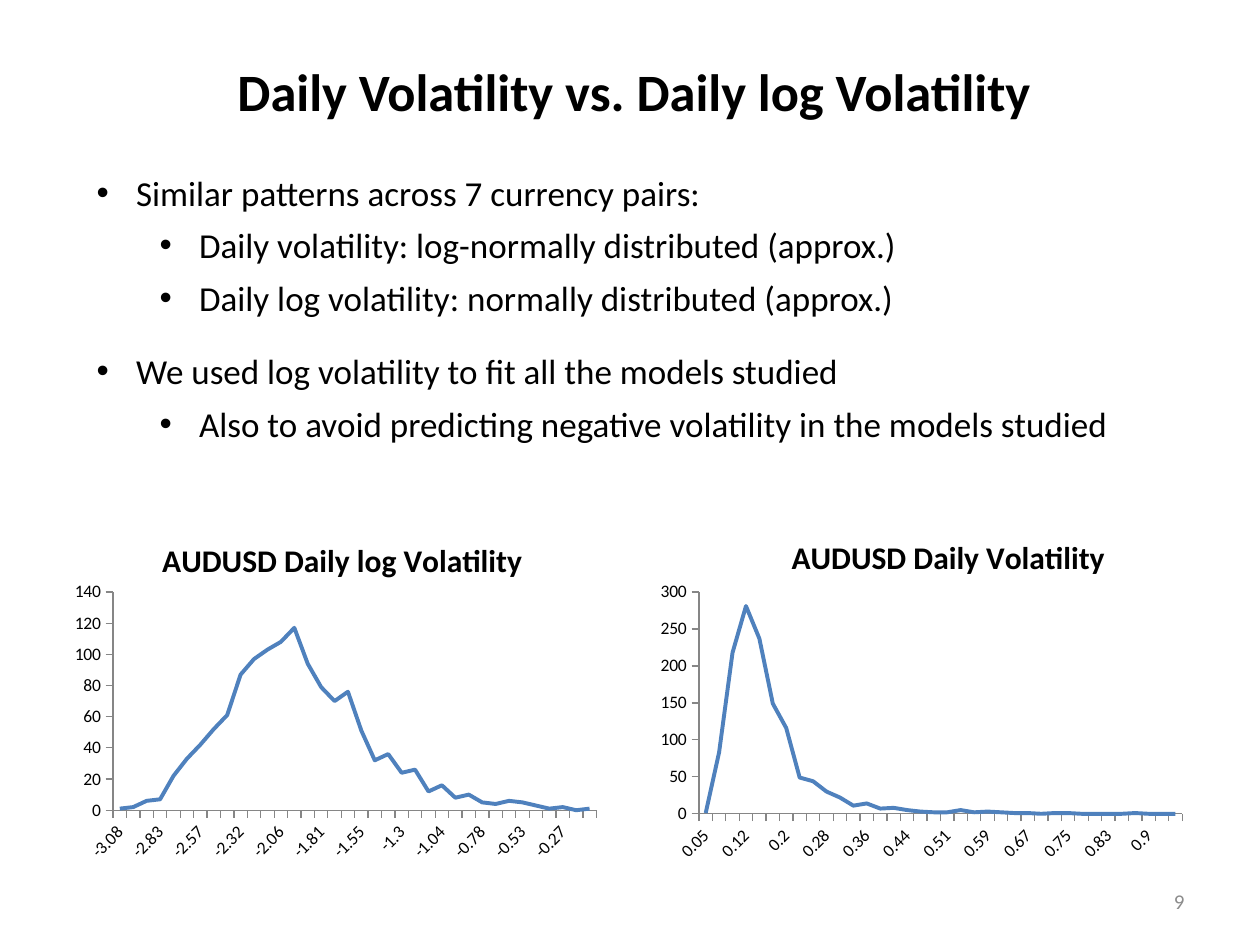
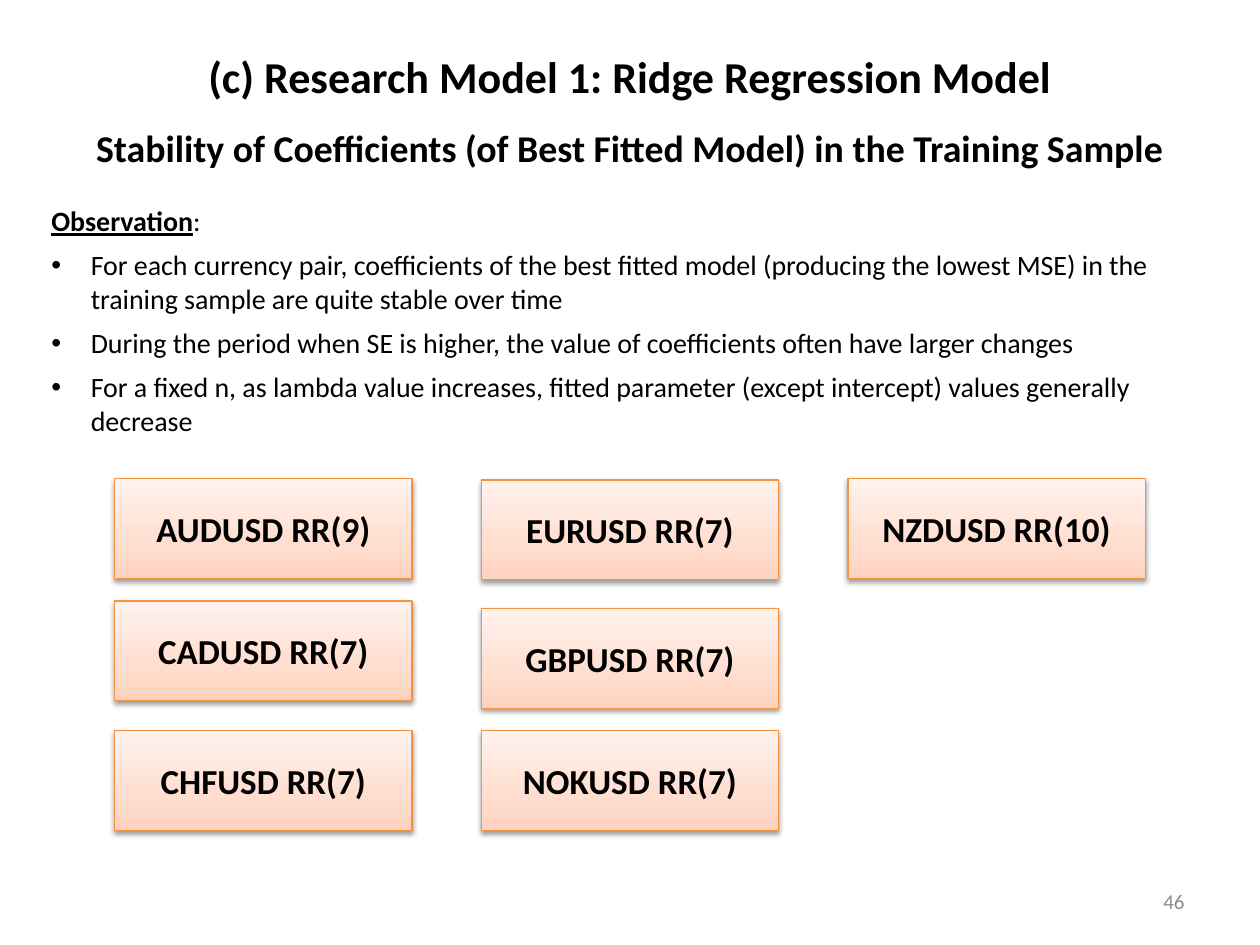
from lxml.etree import SubElement
from pptx import Presentation
from pptx.chart.data import CategoryChartData
from pptx.dml.color import RGBColor
from pptx.enum.chart import XL_CHART_TYPE, XL_TICK_MARK
from pptx.enum.shapes import MSO_SHAPE
from pptx.enum.text import MSO_ANCHOR, PP_ALIGN
from pptx.oxml import parse_xml
from pptx.oxml.ns import nsdecls, qn
from pptx.util import Pt

FONT = "Calibri"
BLACK = RGBColor(0, 0, 0)
GREY = RGBColor(0x8C, 0x8C, 0x8C)
AXIS = RGBColor(0x86, 0x86, 0x86)
BLUE = RGBColor(0x4F, 0x81, 0xBD)
ORANGE = RGBColor(0xF6, 0x92, 0x40)
PEACH = [(0, RGBColor(0xFF, 0xD2, 0xBD)), (35, RGBColor(0xFF, 0xDE, 0xD0)),
         (100, RGBColor(0xFF, 0xF2, 0xED))]

# Title lines: text, size
VOL_TITLE = [("Daily Volatility vs. Daily log Volatility", 30)]
RIDGE_TITLE = [
    ("(c) Research Model 1: Ridge Regression Model", 25.2),
    ("Stability of Coefficients (of Best Fitted Model) in the Training Sample", 21.6),
]

# Points: level, space before, text
VOL_POINTS = [
    (0, 0, "Similar patterns across 7 currency pairs:"),
    (1, 6, "Daily volatility: log-normally distributed (approx.)"),
    (1, 6, "Daily log volatility: normally distributed (approx.)"),
    (0, 18, "We used log volatility to fit all the models studied"),
    (1, 6, "Also to avoid predicting negative volatility in the models studied"),
]
RIDGE_POINTS = [
    "For each currency pair, coefficients of the best fitted model (producing the "
    "lowest MSE) in the training sample are quite stable over time",
    "During the period when SE is higher, the value of coefficients often have "
    "larger changes",
    "For a fixed n, as lambda value increases, fitted parameter (except intercept) "
    "values generally decrease",
]

# Bins are evenly spaced from start; places are fractions of the chart
CHARTS = [
    dict(title="AUDUSD Daily log Volatility", left=36.7, start=-3.08463, step=0.085205,
         top=140, unit=20, head=(0.17, 0.06), plot=(0.09, 0.225, 0.89, 0.61),
         counts=[1, 2, 6, 7, 22, 33, 42, 52, 61, 87, 97, 103, 108, 117, 94, 79, 70, 76,
                 51, 32, 36, 24, 26, 12, 16, 8, 10, 5, 4, 6, 5, 3, 1, 2, 0, 1]),
    dict(title="AUDUSD Daily Volatility", left=371.5, start=0.045747, step=0.026032,
         top=300, unit=50, head=(0.25, 0.05), plot=(0.09, 0.225, 0.89, 0.62),
         counts=[1, 83, 218, 281, 237, 149, 116, 49, 44, 30, 22, 11, 14, 7, 8, 5, 3, 2,
                 2, 5, 2, 3, 2, 1, 1, 0, 1, 1, 0, 0, 0, 0, 1, 0, 0, 0]),
]

# Columns of boxes: label, top
PAIRS = [
    [("AUDUSD RR(9)", 273.6), ("CADUSD RR(7)", 343.4), ("CHFUSD RR(7)", 417.6)],
    [("EURUSD RR(7)", 274.3), ("GBPUSD RR(7)", 347.8), ("NOKUSD RR(7)", 417.6)],
    [("NZDUSD RR(10)", 273.6)],
]
PAIR_LEFT, PAIR_STEP, PAIR_W, PAIR_H = 65.5, 209.5, 170, 56.9


def style(font, size, color=BLACK, bold=False):
    font.name, font.size, font.bold = FONT, Pt(size), bold
    font.color.rgb = color


def add_box(slide, left, top, width, height, anchor=MSO_ANCHOR.TOP):
    frame = slide.shapes.add_textbox(Pt(left), Pt(top), Pt(width), Pt(height)).text_frame
    frame.word_wrap = True
    frame.vertical_anchor = anchor
    return frame


def add_title(slide, lines, area, spacing):
    para = add_box(slide, *area, MSO_ANCHOR.MIDDLE).paragraphs[0]
    para.alignment = PP_ALIGN.CENTER
    para.line_spacing = spacing
    for i, (text, size) in enumerate(lines):
        if i:
            para.add_line_break()
        run = para.add_run()
        run.text = text
        style(run.font, size, bold=True)


def add_number(slide, number):
    para = add_box(slide, 516, 500.4, 168, 28.8, MSO_ANCHOR.MIDDLE).paragraphs[0]
    para.text = str(number)
    para.alignment = PP_ALIGN.RIGHT
    style(para.font, 12, GREY)


def add_bullet(para, text, size, level=0):
    para.text = text
    para.level = level
    props = para._p.get_or_add_pPr()
    props.set("marL", str(Pt(22.5 + 36 * level)))
    props.set("indent", str(Pt(-22.5)))
    SubElement(props, qn("a:buFont"), typeface="Arial")
    SubElement(props, qn("a:buChar"), char="•")
    style(para.font, size)


def place(part, index, **spots):
    """Give a chart part a manual layout, as child number index."""
    for old in part.findall(qn("c:layout")):
        part.remove(old)
    tags = "".join(f'<c:{key} val="{val}"/>' for key, val in spots.items())
    part.insert(index, parse_xml(
        f'<c:layout {nsdecls("c")}><c:manualLayout>{tags}</c:manualLayout></c:layout>'))


def add_plot(slide, item):
    data = CategoryChartData()
    data.categories = [round(item["start"] + i * item["step"], 2)
                       for i in range(len(item["counts"]))]
    data.add_series("Series 1", item["counts"])
    chart = slide.shapes.add_chart(XL_CHART_TYPE.LINE, Pt(item["left"]), Pt(292.3),
                                   Pt(310.3), Pt(204.5), data).chart
    style(chart.font, 10)
    chart.has_legend = False
    chart.has_title = True
    head = chart.chart_title.text_frame.paragraphs[0]
    head.text = item["title"]
    style(head.font, 18, bold=True)

    line = chart.plots[0].series[0]
    line.smooth = False
    line.format.line.color.rgb = BLUE
    line.format.line.width = Pt(2.25)
    chart.plots[0].vary_by_categories = False

    cats, vals = chart.category_axis, chart.value_axis
    for axis in (cats, vals):
        axis.has_major_gridlines = False
        axis.major_tick_mark = XL_TICK_MARK.OUTSIDE
        axis.format.line.color.rgb = AXIS
        style(axis.tick_labels.font, 10)
    cats.tick_labels.number_format = "0.00"
    cats.tick_labels.number_format_is_linked = False
    vals.minimum_scale, vals.maximum_scale = 0, item["top"]
    vals.major_unit = item["unit"]

    root = chart.element
    root.xpath(".//c:catAx/c:txPr/a:bodyPr")[0].set("rot", "-2700000")
    x, y = item["head"]
    place(root.xpath("c:chart/c:title")[0], 1, xMode="edge", yMode="edge", x=x, y=y)
    x, y, w, h = item["plot"]
    place(root.xpath(".//c:plotArea")[0], 0, layoutTarget="inner",
          xMode="edge", yMode="edge", x=x, y=y, w=w, h=h)


def add_pair(slide, label, left, top):
    box = slide.shapes.add_shape(MSO_SHAPE.RECTANGLE, Pt(left), Pt(top),
                                 Pt(PAIR_W), Pt(PAIR_H))
    box.line.color.rgb = ORANGE
    box.line.width = Pt(0.75)
    stops = "".join(f'<a:gs pos="{pos * 1000}"><a:srgbClr val="{color}"/></a:gs>'
                    for pos, color in PEACH)
    props = box._element.spPr
    props.find(qn("a:prstGeom")).addnext(parse_xml(
        f'<a:gradFill {nsdecls("a")} rotWithShape="1"><a:gsLst>{stops}</a:gsLst>'
        '<a:lin ang="16200000" scaled="0"/></a:gradFill>'))
    props.append(parse_xml(
        f'<a:effectLst {nsdecls("a")}><a:outerShdw blurRad="{Pt(3.1)}" '
        f'dist="{Pt(1.6)}" dir="5400000" rotWithShape="0"><a:srgbClr val="{BLACK}">'
        '<a:alpha val="38000"/></a:srgbClr></a:outerShdw></a:effectLst>'))
    box.text_frame.vertical_anchor = MSO_ANCHOR.MIDDLE
    para = box.text_frame.paragraphs[0]
    para.text = label
    para.alignment = PP_ALIGN.CENTER
    style(para.font, 20, bold=True)


def build_vol(slide):
    add_number(slide, 9)
    for item in CHARTS:
        add_plot(slide, item)
    add_title(slide, VOL_TITLE, (36.7, 3.6, 651.6, 96.5), 1.0)
    frame = add_box(slide, 48.2, 94.3, 623.5, 164.9)
    for i, (level, before, text) in enumerate(VOL_POINTS):
        para = frame.add_paragraph() if i else frame.paragraphs[0]
        para.space_before = Pt(before)
        add_bullet(para, text, 20, level)


def build_ridge(slide):
    add_number(slide, 46)
    add_title(slide, RIDGE_TITLE, (36, 21.6, 648, 67), 1.5)
    frame = add_box(slide, 22.3, 113, 689, 141.8)
    lead = frame.paragraphs[0]
    lead.space_after = Pt(6)
    for text, strong in (("Observation", True), (":", False)):
        run = lead.add_run()
        run.text = text
        style(run.font, 16, bold=strong)
        run.font.underline = strong
    for text in RIDGE_POINTS:
        para = frame.add_paragraph()
        para.space_after = Pt(6)
        add_bullet(para, text, 16)
    for col, pairs in enumerate(PAIRS):
        for label, top in pairs:
            add_pair(slide, label, PAIR_LEFT + col * PAIR_STEP, top)


def main():
    deck = Presentation()
    deck.slide_width, deck.slide_height = Pt(720), Pt(540)
    for build in (build_vol, build_ridge):
        build(deck.slides.add_slide(deck.slide_layouts[6]))
    deck.save("out.pptx")


if __name__ == "__main__":
    main()
